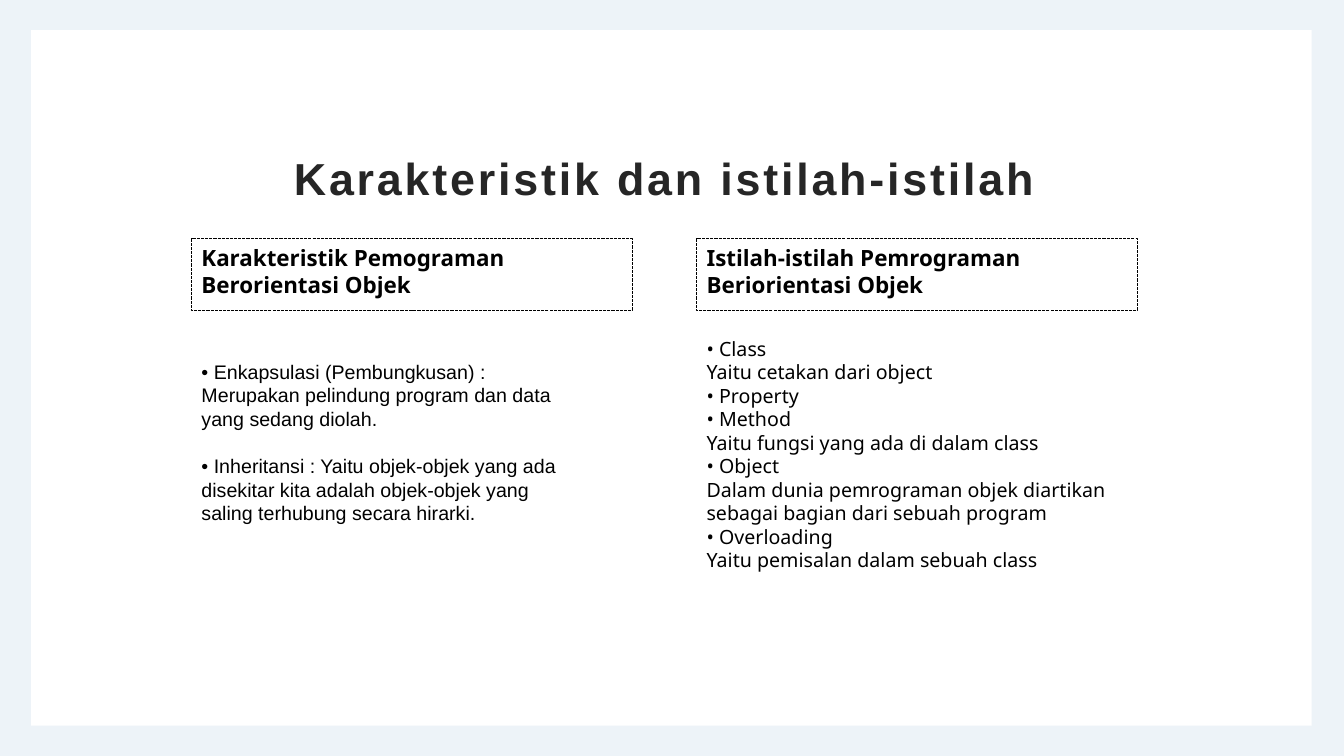
from pptx import Presentation
from pptx.dml.color import RGBColor
from pptx.enum.dml import MSO_LINE_DASH_STYLE as Dash
from pptx.enum.shapes import MSO_SHAPE as Shape
from pptx.enum.text import MSO_ANCHOR as Anchor, MSO_AUTO_SIZE as AutoSize, PP_ALIGN as Align
from pptx.util import Inches, Pt

BACKGROUND = RGBColor(0xED, 0xF3, 0xF8)
WHITE = RGBColor(0xFF, 0xFF, 0xFF)
BLACK = RGBColor(0, 0, 0)
TITLE_COLOR = RGBColor(0x26, 0x26, 0x26)

HEADING_TOP, HEADING_HEIGHT = 2.37, 0.71
COLUMN_WIDTH = 4.37
LINE_SPACING = 1.2  # line height as a multiple of the text size

COLUMNS = [
    {
        "left": 1.9,
        "heading": "Karakteristik Pemograman Berorientasi Objek",
        "body_box": (3.52, 4.01, 1.65),  # top, width, height
        "font": "Arial",
        "gap": 16.8,
        "lines": [
            "• Enkapsulasi (Pembungkusan) : Merupakan pelindung program dan data "
            "yang sedang diolah.",
            "• Inheritansi : Yaitu objek-objek yang ada disekitar kita adalah "
            "objek-objek yang saling terhubung secara hirarki.",
        ],
    },
    {
        "left": 6.91,
        "heading": "Istilah-istilah Pemrograman Beriorientasi Objek",
        "body_box": (3.29, COLUMN_WIDTH, 2.74),
        "font": "Noto Sans",
        "gap": 0,
        "lines": [
            "• Class",
            "Yaitu cetakan dari object",
            "• Property",
            "• Method",
            "Yaitu fungsi yang ada di dalam class",
            "• Object",
            "Dalam dunia pemrograman objek diartikan sebagai bagian dari sebuah program",
            "• Overloading",
            "Yaitu pemisalan dalam sebuah class",
        ],
    },
]


def set_attributes(target, values):
    for name, value in values.items():
        setattr(target, name, value)


def write_lines(text_frame, lines, font, size, bold=False, gap=0):
    """Fill the frame with one left-aligned paragraph per line, gap points apart."""
    set_attributes(text_frame, {"word_wrap": True, "vertical_anchor": Anchor.TOP})
    for index, line in enumerate(lines):
        paragraph = text_frame.add_paragraph() if index else text_frame.paragraphs[0]
        set_attributes(paragraph, {
            "text": line,
            "alignment": Align.LEFT,
            "line_spacing": Pt(size * LINE_SPACING),
            "space_before": Pt(gap if index else 0),
        })
        set_attributes(paragraph.font, {"name": font, "size": Pt(size), "bold": bold})
        paragraph.font.color.rgb = BLACK


def add_panel(slide):
    """Add the white panel behind everything else on the slide."""
    panel = slide.shapes.add_shape(
        Shape.RECTANGLE, Inches(0.31), Inches(0.3), Inches(12.7), Inches(6.9))
    panel.shadow.inherit = False
    panel.fill.solid()
    panel.fill.fore_color.rgb = WHITE
    panel.line.fill.background()
    slide.shapes._spTree.insert(2, panel._element)


def format_title(title):
    set_attributes(title, {
        "left": Inches(1.4), "top": Inches(1.37),
        "width": Inches(10.53), "height": Inches(0.79),
    })
    set_attributes(title.text_frame, {
        "text": "Karakteristik dan istilah-istilah ",
        "vertical_anchor": Anchor.MIDDLE,
        "auto_size": AutoSize.NONE,
        "word_wrap": True,
    })
    paragraph = title.text_frame.paragraphs[0]
    paragraph.alignment = Align.CENTER
    run = paragraph.runs[0]
    set_attributes(run.font, {"name": "Arial", "size": Pt(32), "bold": True})
    run.font.color.rgb = TITLE_COLOR
    run._r.get_or_add_rPr().set("spc", "200")


def add_heading(slide, left, text):
    heading = slide.shapes.add_shape(
        Shape.RECTANGLE, Inches(left), Inches(HEADING_TOP),
        Inches(COLUMN_WIDTH), Inches(HEADING_HEIGHT))
    heading.shadow.inherit = False
    heading.fill.background()
    heading.line.color.rgb = BLACK
    set_attributes(heading.line, {"width": Pt(0.75), "dash_style": Dash.SQUARE_DOT})
    write_lines(heading.text_frame, [text], "Noto Sans", 16, bold=True)


def add_body(slide, column):
    box = slide.shapes.add_textbox(
        Inches(column["left"]), *(Inches(length) for length in column["body_box"]))
    write_lines(box.text_frame, column["lines"], column["font"], 14, gap=column["gap"])


def main():
    presentation = Presentation()
    set_attributes(presentation, {
        "slide_width": Inches(13.33), "slide_height": Inches(7.5)})
    slide = presentation.slides.add_slide(presentation.slide_layouts[5])
    slide.background.fill.solid()
    slide.background.fill.fore_color.rgb = BACKGROUND

    add_panel(slide)
    format_title(slide.shapes.title)
    for column in COLUMNS:
        add_heading(slide, column["left"], column["heading"])
        add_body(slide, column)
    presentation.save("out.pptx")


if __name__ == "__main__":
    main()
